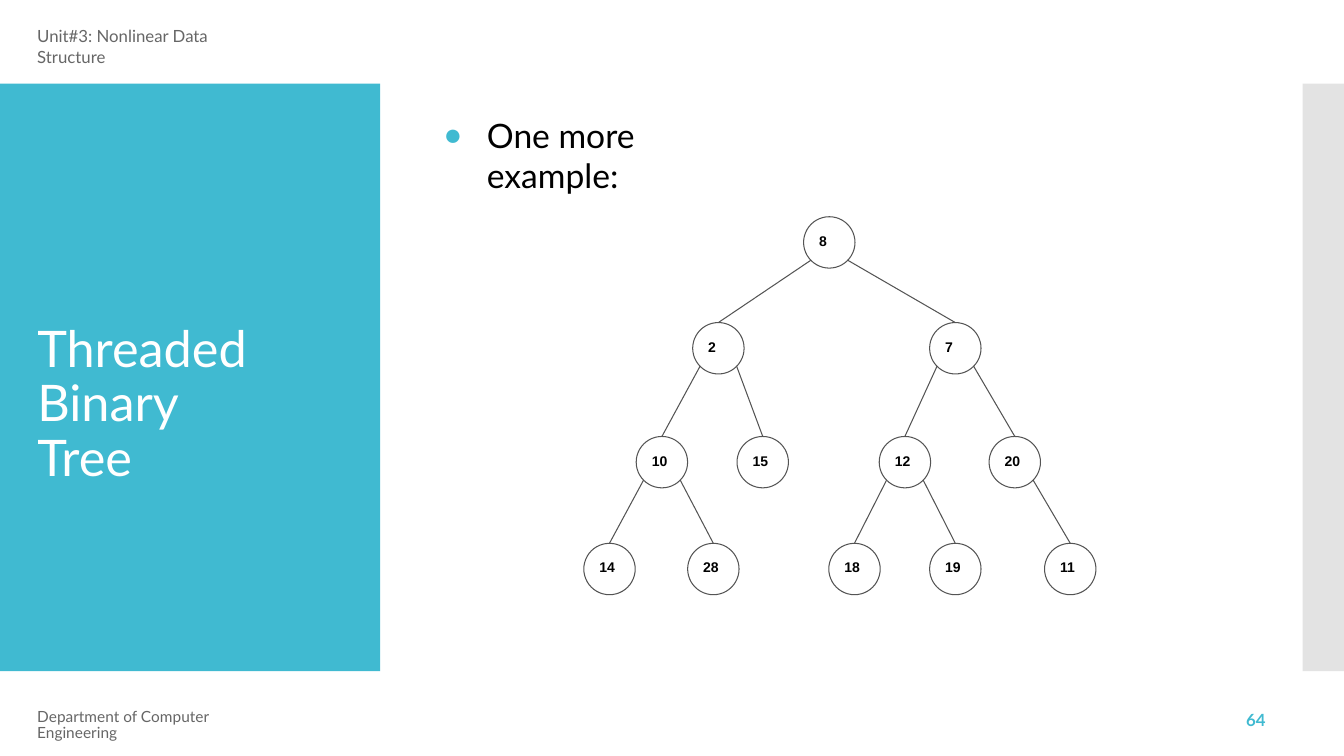
from lxml.etree import SubElement
from pptx import Presentation
from pptx.dml.color import RGBColor
from pptx.enum.shapes import MSO_CONNECTOR, MSO_SHAPE
from pptx.enum.text import MSO_ANCHOR, MSO_AUTO_SIZE, PP_ALIGN
from pptx.oxml.ns import qn
from pptx.util import Pt

# Content
TITLE = "Threaded Binary Tree"
HEADER = "Unit#3: Nonlinear Data Structure"
FOOTER = "Department of Computer Engineering"
PAGE_NUMBER = "64"
BULLET = "One more example:"

# Tree levels: top of the row, then (value, left edge, parent)
LEVELS = [
    (215, [(8, 797, None)]),
    (320, [(2, 687, 8), (7, 922, 8)]),
    (433, [(10, 631, 2), (15, 731, 2), (12, 872, 7), (20, 981, 7)]),
    (539, [(14, 579, 10), (28, 682, 10), (18, 822, 12), (19, 922, 12), (11, 1036, 20)]),
]

COLORS = {
    "accent": "40BAD1",
    "side": "C8C8C8",
    "muted": "666666",
    "line": "545454",
    "white": "FFFFFF",
    "black": "000000",
}

# Lengths in px, 100 to the inch
SCALE = 9144
NODE_SIZE = 51
EDGE_SIDE, EDGE_DROP = 18, 43  # where an edge leaves its parent
NODE_INSET = 8


def px(length):
    return int(length * SCALE)


def color(name):
    return RGBColor.from_string(COLORS[name])


def write(shape, text, size, tint, font="Lato", bold=False, left=1, top=0, leading=None):
    frame = shape.text_frame
    frame.word_wrap = True
    frame.auto_size = MSO_AUTO_SIZE.NONE
    frame.vertical_anchor = MSO_ANCHOR.TOP
    frame.margin_left, frame.margin_top = px(left), px(top)
    frame.margin_right = frame.margin_bottom = 0
    para = frame.paragraphs[0]
    para.alignment = PP_ALIGN.LEFT
    if leading:
        para.line_spacing = Pt(leading)
    span = para.add_run()
    span.text = text
    span.font.name, span.font.size, span.font.bold = font, Pt(size), bold
    span.font.color.rgb = color(tint)
    return para


def add_text(page, box, text, **style):
    return write(page.shapes.add_textbox(*map(px, box)), text, **style)


def add_bar(page, box, tint):
    bar = page.shapes.add_shape(MSO_SHAPE.RECTANGLE, *map(px, box))
    bar.shadow.inherit = False
    bar.fill.solid()
    bar.fill.fore_color.rgb = color(tint)
    bar.line.fill.background()
    return bar


def add_node(page, value, left, top):
    node = page.shapes.add_shape(MSO_SHAPE.OVAL, *map(px, (left, top, NODE_SIZE, NODE_SIZE)))
    node.shadow.inherit = False
    node.fill.background()
    node.line.color.rgb = color("line")
    node.line.width = Pt(0.75)
    write(node, str(value), 10, "black", font="Arial", bold=True, left=NODE_INSET, top=NODE_INSET)


def add_edge(page, parent, child):
    half = NODE_SIZE / 2
    side = EDGE_SIDE if child[0] > parent[0] else -EDGE_SIDE
    points = (parent[0] + half + side, parent[1] + EDGE_DROP, child[0] + half, child[1])
    edge = page.shapes.add_connector(MSO_CONNECTOR.STRAIGHT, *map(px, points))
    edge.line.color.rgb = color("line")
    edge.line.width = Pt(0.75)
    SubElement(edge._element.spPr, qn("a:effectLst"))


def add_bullet(para):
    properties = para._p.get_or_add_pPr()
    properties.set("marL", str(px(45)))
    properties.set("indent", str(px(-43)))
    tint = SubElement(properties, qn("a:buClr"))
    SubElement(tint, qn("a:srgbClr"), val=COLORS["accent"])
    SubElement(properties, qn("a:buSzPct"), val="92000")
    SubElement(properties, qn("a:buFont"), typeface="Arial")
    SubElement(properties, qn("a:buChar"), char="●")


def main():
    deck = Presentation()
    deck.slide_width, deck.slide_height = px(1333), px(750)
    page = deck.slides.add_slide(deck.slide_layouts[5])

    # Side panels
    add_bar(page, (0, 83, 377, 583), "accent")
    side = add_bar(page, (1292, 83, 41, 583), "side")
    side_color = side._element.spPr.find(qn("a:solidFill"))[0]
    SubElement(side_color, qn("a:alpha"), val="50000")

    # Title, in front of its panel
    title = page.shapes.title
    title.left, title.top, title.width, title.height = map(px, (36, 312, 225, 180))
    write(title, TITLE, 36, "white", top=8, leading=39)
    page.shapes._spTree.append(title._element)

    # Header, bullet, footer and page number
    add_text(page, (36, 25, 220, 46), HEADER, size=12, tint="muted", top=1)
    add_bullet(add_text(page, (438, 113, 300, 85), BULLET, size=24, tint="black", left=0, top=1))
    add_text(page, (36, 704, 220, 34), FOOTER, size=11, tint="muted", leading=11.4)
    add_text(page, (1232, 707, 26, 19), PAGE_NUMBER, size=12, tint="accent",
             bold=True, left=4, leading=12.3)

    # Tree
    places = {}
    for top, row in LEVELS:
        for value, left, parent in row:
            places[value] = (left, top)
            add_node(page, value, left, top)
            if parent is not None:
                add_edge(page, places[parent], places[value])

    deck.save("out.pptx")


if __name__ == "__main__":
    main()
